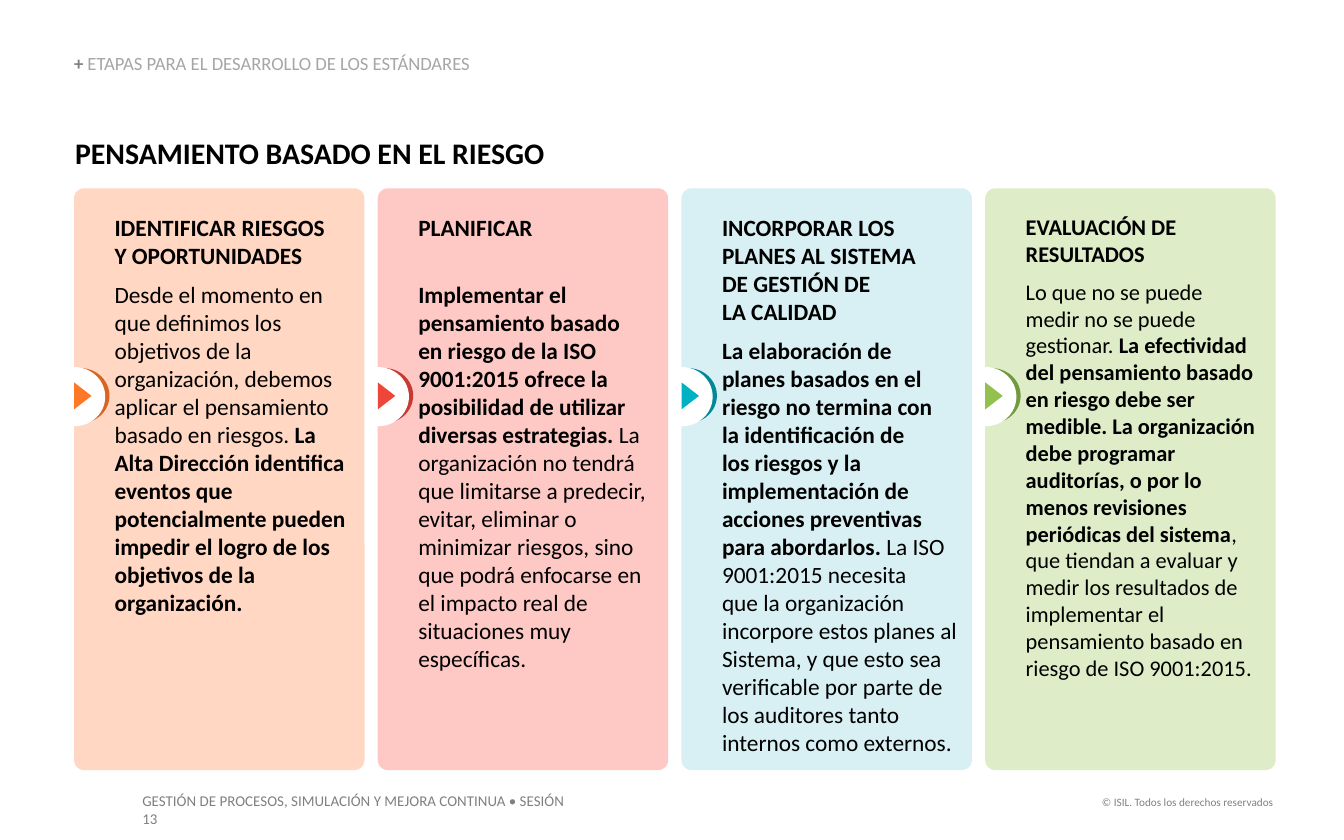
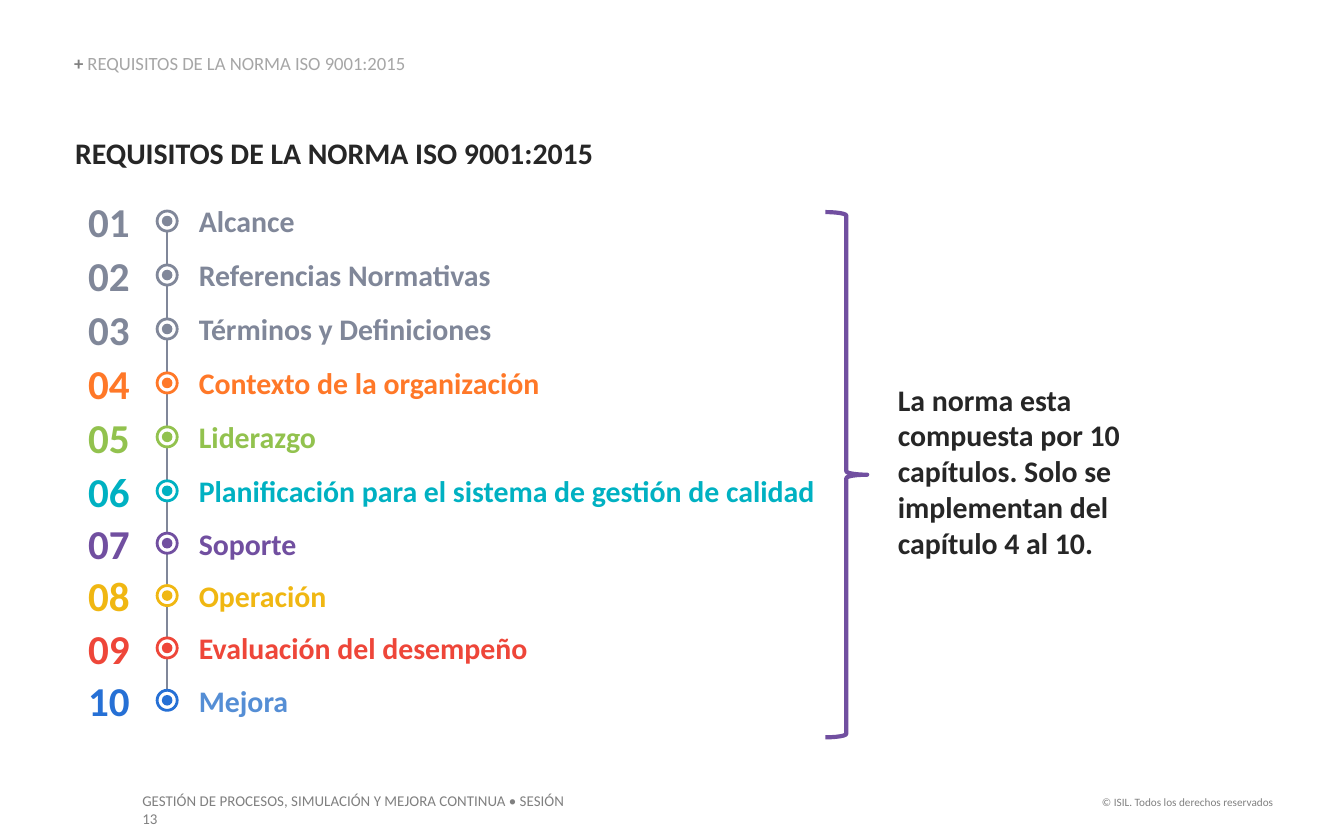
from lxml import etree
from pptx import Presentation
from pptx import util as u
from pptx.dml import color
from pptx.enum import shapes, text
from pptx.oxml import ns

FONT = "Calibri"
BLACK, INK, WHITE = "000000", "262626", "FFFFFF"
GREY, PALE_GREY, SLATE = "808080", "A6A6A6", "808799"
ORANGE, GREEN, TEAL, PURPLE = "FF7828", "92C24E", "00B1C2", "714FA0"
YELLOW, RED, BLUE, LIGHT_BLUE = "F0B712", "EE4639", "2670D5", "558ED5"
LEFT, RIGHT, CENTER = text.PP_ALIGN.LEFT, text.PP_ALIGN.RIGHT, text.PP_ALIGN.CENTER
SHAPE = shapes.MSO_SHAPE
TITLE_SIZE = 16

PANELS = [
    ("FFD7C2", "D86522", ORANGE, 12.5, 6, 0.3, "IDENTIFICAR RIESGOS\nY OPORTUNIDADES", [
        ("Desde el momento en que definimos los objetivos de la organización, debemos "
         "aplicar el pensamiento basado en riesgos. ", False),
        ("La Alta Dirección identifica eventos que potencialmente pueden impedir el logro "
         "de los objetivos de la organización.", True)]),
    ("FEC9C5", "C73931", RED, 12.5, 21, 0.3, "PLANIFICAR", [
        ("Implementar el pensamiento basado en riesgo de la ISO 9001:2015 ofrece la "
         "posibilidad de utilizar diversas estrategias.", True),
        (" La organización no tendrá que limitarse a predecir, evitar, eliminar o minimizar "
         "riesgos, sino que podrá enfocarse en el impacto real de situaciones muy "
         "específicas.", False)]),
    ("D8F0F3", "008998", "00B1C3", 12.5, 6, 0.2,
     "INCORPORAR LOS PLANES AL SISTEMA\nDE GESTIÓN DE\nLA CALIDAD", [
         ("La elaboración de planes basados en el riesgo no termina con\nla identificación de\n"
          "los riesgos y la implementación de acciones preventivas para abordarlos.", True),
         (" La ISO 9001:2015 necesita\nque la organización incorpore estos planes al Sistema, "
          "y que esto sea verificable por parte de los auditores tanto internos como "
          "externos.", False)]),
    ("DEEDC8", "72993E", "92C14D", 12, 6, 0.3, "EVALUACIÓN DE RESULTADOS", [
        ("Lo que no se puede medir no se puede gestionar. ", False),
        ("La efectividad del pensamiento basado en riesgo debe ser medible. La organización "
         "debe programar auditorías, o por lo menos revisiones periódicas del sistema", True),
        (", que tiendan a evaluar y medir los resultados de implementar el pensamiento basado "
         "en riesgo de ISO 9001:2015.", False)]),
]

CHAPTERS = [
    ("Alcance", SLATE, SLATE),
    ("Referencias Normativas", SLATE, SLATE),
    ("Términos y Definiciones", SLATE, SLATE),
    ("Contexto de la organización", ORANGE, ORANGE),
    ("Liderazgo", GREEN, GREEN),
    ("Planificación para el sistema de gestión de calidad", TEAL, TEAL),
    ("Soporte", PURPLE, PURPLE),
    ("Operación", YELLOW, YELLOW),
    ("Evaluación del desempeño", RED, RED),
    ("Mejora", BLUE, LIGHT_BLUE),
]


def rgb(value):
    return color.RGBColor.from_string(value)


def cm(box):
    return [u.Cm(v) for v in box]


def style(p, size, ink, bold=None, align=LEFT):
    p.alignment = align
    p.font.name, p.font.size, p.font.bold = FONT, u.Pt(size), bold
    p.font.color.rgb = rgb(ink)


def add_run(p, words, bold=None):
    for i, line in enumerate(words.split("\n")):
        if i:
            p.add_line_break()
        r = p.add_run()
        r.text = line
        if bold is not None:
            r.font.bold = bold
    return r


def set_frame(tf, insets, anchor=text.MSO_ANCHOR.TOP):
    tf.word_wrap = True
    tf.auto_size = text.MSO_AUTO_SIZE.NONE
    tf.vertical_anchor = anchor
    tf.margin_left, tf.margin_top, tf.margin_right, tf.margin_bottom = cm(insets)


def add_text(s, box, words, size, ink, bold=None, align=LEFT, insets=(0, 0, 0, 0)):
    tf = s.shapes.add_textbox(*cm(box)).text_frame
    set_frame(tf, insets)
    p = tf.paragraphs[0]
    style(p, size, ink, bold, align)
    add_run(p, words)
    return tf


def add_shape(parent, kind, box, fill=None, line=None, width=1.0):
    sp = parent.shapes.add_shape(kind, *cm(box))
    sp.shadow.inherit = False
    if fill:
        sp.fill.solid()
        sp.fill.fore_color.rgb = rgb(fill)
    else:
        sp.fill.background()
    if line:
        sp.line.color.rgb = rgb(line)
        sp.line.width = u.Pt(width)
    else:
        sp.line.fill.background()
    return sp


def add_slide(prs, section, title, ink):
    s = prs.slides.add_slide(prs.slide_layouts[5])
    sp = s.shapes.title
    sp.left, sp.top, sp.width, sp.height = cm((1.42, 2.55, 22.68, 0.69))
    set_frame(sp.text_frame, (0, 0, 0, 0))
    p = sp.text_frame.paragraphs[0]
    style(p, TITLE_SIZE, ink, True)
    add_run(p, title)

    tf = add_text(s, (1.4, 1.04, 11.81, 0.38), "", 10, GREY)
    tf.vertical_anchor = text.MSO_ANCHOR.BOTTOM
    p = tf.paragraphs[0]
    p.line_spacing = 0.9
    add_run(p, "+ ", True)
    add_run(p, section, False).font.color.rgb = rgb(PALE_GREY)

    insets = (0.25, 0.13, 0.25, 0.13)
    add_text(s, (20.5, 14.91, 3.81, 0.51), "© ISIL. Todos los derechos reservados",
             6, GREY, align=RIGHT, insets=insets)
    add_text(s, (2.44, 14.83, 8.65, 0.61),
             "GESTIÓN DE PROCESOS, SIMULACIÓN Y MEJORA CONTINUA • SESIÓN 13",
             8, GREY, insets=insets)
    return s


def add_panel(s, box, fill, shade, accent, size, gap, right_inset, heading, body):
    left, top = box[:2]
    sp = add_shape(s, SHAPE.ROUNDED_RECTANGLE, box, fill)
    sp.adjustments[0] = 0.035
    tf = sp.text_frame
    set_frame(tf, (0.71, 0.41, right_inset, 0.13))
    p = tf.paragraphs[0]
    p.space_after = u.Pt(gap)
    style(p, size, BLACK, True)
    add_run(p, heading)
    p = tf.add_paragraph()
    style(p, size, BLACK)
    for words, bold in body:
        add_run(p, words, bold)

    add_shape(s, SHAPE.OVAL, (left - 0.42, top + 3.4, 1.09, 1.04), shade)
    add_shape(s, SHAPE.OVAL, (left - 0.58, top + 3.38, 1.17, 1.12), WHITE)
    arrow = add_shape(s, SHAPE.ISOSCELES_TRIANGLE, (left - 0.09, top + 3.76, 0.51, 0.33), accent)
    arrow.rotation = 90


def add_panels(s, left, top, width, height):
    pitch = 5.74
    panel_width = width - pitch * (len(PANELS) - 1)
    for i, panel in reversed(list(enumerate(PANELS))):
        add_panel(s, (left + i * pitch, top, panel_width, height), *panel)


def add_marker(s, left, top, ink):
    marker = s.shapes.add_group_shape()
    add_shape(marker, SHAPE.OVAL, (left, top, 0.38, 0.38), WHITE, ink, 1.5)
    add_shape(marker, SHAPE.OVAL, (left + 0.09, top + 0.09, 0.2, 0.2), ink)


def add_chapters(s, left, top):
    tops = [top + 1.02 * min(i, 5) + 0.99 * max(i - 5, 0) for i in range(len(CHAPTERS))]
    axis = left + 1.66
    line = s.shapes.add_connector(shapes.MSO_CONNECTOR.STRAIGHT,
                                  *cm((axis, top + 0.66, axis, tops[-1] + 0.4)))
    line.line.color.rgb = rgb(SLATE)
    line.line.width = u.Pt(1)
    etree.SubElement(line._element.spPr, ns.qn("a:effectLst"))
    for i, (name, ink, name_ink) in enumerate(CHAPTERS):
        y = tops[i]
        add_text(s, (left, y, 1.12, 0.94), f"{i + 1:02}", 22, ink, True, CENTER)
        add_marker(s, axis - 0.19, y + 0.28, ink)
        add_text(s, (left + 2.26, y + 0.13, 12.37, 0.69), name, 16, name_ink, True)


def add_summary(s, left, top, height):
    add_shape(s, SHAPE.RIGHT_BRACE, (left, top, 0.79, height), line=PURPLE, width=2.25)
    add_text(s, (left + 1.37, top + 3.2, 4.93, 3.43),
             "La norma esta compuesta por 10 capítulos. Solo se implementan del capítulo 4 al 10.",
             TITLE_SIZE, INK, True)


def main():
    prs = Presentation()
    prs.slide_width, prs.slide_height = cm((25.4, 15.88))

    s = add_slide(prs, "ETAPAS PARA EL DESARROLLO DE LOS ESTÁNDARES",
                  "PENSAMIENTO BASADO EN EL RIESGO", BLACK)
    add_panels(s, 1.4, 3.56, 22.71, 11)

    requirements = "REQUISITOS DE LA NORMA ISO 9001:2015"
    s = add_slide(prs, requirements, requirements, INK)
    add_chapters(s, 1.5, 3.71)
    add_summary(s, 15.6, 4.01, 9.93)

    prs.save("out.pptx")


if __name__ == "__main__":
    main()
